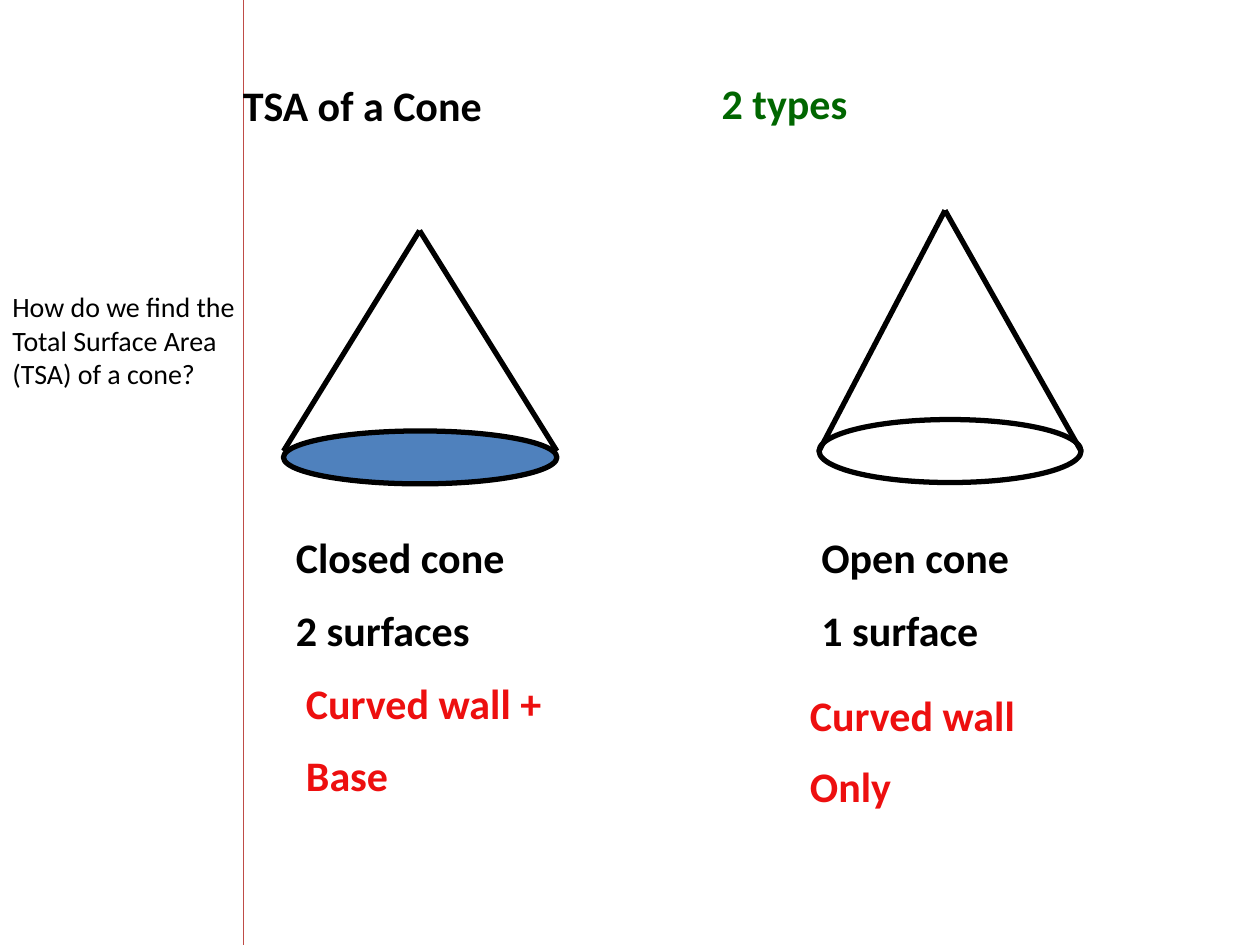
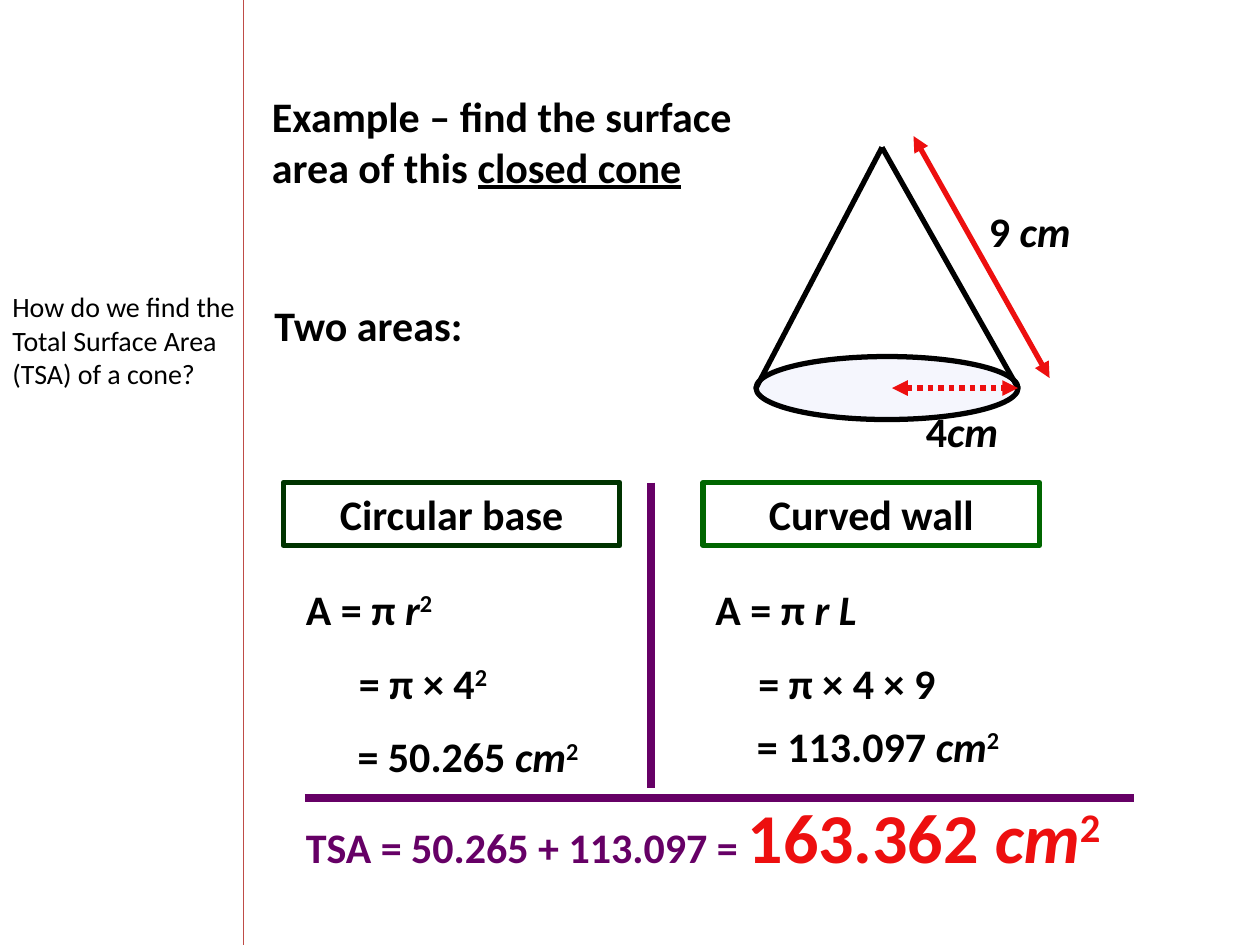
from dataclasses import dataclass
from typing import Any, NamedTuple, Optional

import pptx
import pptx.dml.color
import pptx.enum.dml
import pptx.enum.shapes
import pptx.enum.text
import pptx.util
from pptx.oxml.xmlchemy import OxmlElement
from pptx.util import Inches


@dataclass(frozen=True)
class Theme:
    font: str = "Calibri"
    ink: str = "000000"
    margin_rule: str = "BF4C48"
    red: str = "ED0F0F"
    green: str = "006600"
    dark_green: str = "003300"
    purple: str = "660066"
    blue_base: str = "4F81BD"
    pale_base: str = "F5F6FD"
    note_size: int = 16
    body_size: int = 24
    answer_size: int = 40
    paragraph_gap: int = 12
    outline: float = 3
    divider: float = 4.5
    hairline: float = 0.75


THEME = Theme()


class Box(NamedTuple):
    left: float
    top: float
    width: float
    height: float = 0.5


class Point(NamedTuple):
    x: float
    y: float


class Span(NamedTuple):
    """A stretch of text; unset size and colour follow the whole text."""
    text: str
    italic: bool = False
    underline: bool = False
    superscript: bool = False
    size: Optional[int] = None
    color: Optional[str] = None


@dataclass(frozen=True)
class Cone:
    apex: Point
    base: Box
    rim_y: float
    fill: Optional[str] = None


@dataclass(frozen=True)
class ConeType:
    cone: Cone
    caption_left: float
    captions: tuple[str, str]
    surfaces_at: Point
    surfaces: tuple[str, str]


class Step(NamedTuple):
    at: Point
    spans: list[Span]


@dataclass(frozen=True)
class AreaColumn:
    heading: str
    left: float
    border: str
    steps: list[Step]


def rgb(color: str) -> pptx.dml.color.RGBColor:
    return pptx.dml.color.RGBColor.from_string(color)


def inches(box: Box) -> list[int]:
    return [Inches(length) for length in box]


# Drawing functions
def write(frame: Any, *paragraphs: list[Span], size: int = THEME.body_size,
          color: str = THEME.ink, bold: bool = True, centered: bool = False) -> None:
    frame.word_wrap = True
    frame.auto_size = pptx.enum.text.MSO_AUTO_SIZE.SHAPE_TO_FIT_TEXT
    align = pptx.enum.text.PP_ALIGN
    for index, spans in enumerate(paragraphs):
        paragraph = frame.add_paragraph() if index else frame.paragraphs[0]
        paragraph.alignment = align.CENTER if centered else align.LEFT
        if index:
            paragraph.space_before = pptx.util.Pt(THEME.paragraph_gap)
        for span in spans:
            run = paragraph.add_run()
            run.text = span.text
            font = run.font
            font.name = THEME.font
            font.size = pptx.util.Pt(span.size or size)
            font.color.rgb = rgb(span.color or color)
            font.bold, font.italic = bold, span.italic
            font.underline = span.underline
            if span.superscript:
                run._r.get_or_add_rPr().set("baseline", "30000")


def add_text(shapes: Any, box: Box, *paragraphs: list[Span], **style: Any) -> None:
    write(shapes.add_textbox(*inches(box)).text_frame, *paragraphs, **style)


def add_line(shapes: Any, start: Point, end: Point, color: str = THEME.ink,
             width: float = THEME.outline, dotted: bool = False,
             arrows: bool = False) -> None:
    connector = shapes.add_connector(
        pptx.enum.shapes.MSO_CONNECTOR.STRAIGHT, *inches((*start, *end)))
    connector.line.color.rgb = rgb(color)
    connector.line.width = pptx.util.Pt(width)
    if dotted:
        connector.line.dash_style = pptx.enum.dml.MSO_LINE.ROUND_DOT
    if arrows:
        for tag in ("a:headEnd", "a:tailEnd"):
            arrowhead = OxmlElement(tag)
            arrowhead.set("type", "triangle")
            connector.line._get_or_add_ln().append(arrowhead)
    connector._element.spPr.append(OxmlElement("a:effectLst"))


def add_outlined(shapes: Any, kind: Any, box: Box, border: str = THEME.ink,
                 fill: Optional[str] = None) -> Any:
    shape = shapes.add_shape(kind, *inches(box))
    shape.shadow.inherit = False
    shape.line.color.rgb = rgb(border)
    shape.line.width = pptx.util.Pt(THEME.outline)
    if fill:
        shape.fill.solid()
        shape.fill.fore_color.rgb = rgb(fill)
    else:
        shape.fill.background()
    return shape


def add_cone(slide: Any, cone: Cone) -> Any:
    """Draw a cone as a group and return the group's shapes."""
    shapes = slide.shapes.add_group_shape().shapes
    add_outlined(shapes, pptx.enum.shapes.MSO_SHAPE.OVAL, cone.base, fill=cone.fill)
    for rim_x in (cone.base.left, cone.base.left + cone.base.width):
        add_line(shapes, cone.apex, Point(rim_x, cone.rim_y))
    return shapes


def add_notes_page(deck: Any) -> Any:
    """Add a slide with the margin rule and the guiding question."""
    slide = deck.slides.add_slide(deck.slide_layouts[6])
    add_line(slide.shapes, Point(1.93, 0), Point(1.93, 7.5),
             THEME.margin_rule, THEME.hairline)
    add_text(slide.shapes, Box(0, 2.25, 2.01, 0.91),
             [Span("How do we find the Total Surface Area (TSA) of a cone?")],
             size=THEME.note_size, bold=False)
    return slide


# Content
CONE_TYPES = [
    ConeType(Cone(Point(3.33, 1.83), Box(2.25, 3.42, 2.17, 0.42), 3.58, THEME.blue_base),
             2.25, ("Closed cone", "2 surfaces"),
             Point(2.33, 5.33), ("Curved wall +", "Base")),
    ConeType(Cone(Point(7.5, 1.67), Box(6.5, 3.33, 2.08), 3.58),
             6.42, ("Open cone", "1 surface"),
             Point(6.33, 5.42), ("Curved wall", "Only")),
]

SQUARED = Span("2", superscript=True)
CM = Span("cm", italic=True)

AREA_COLUMNS = [
    AreaColumn("Circular base", 2.25, THEME.dark_green, [
        Step(Point(2.33, 4.58), [Span("A = π "), Span("r", italic=True), SQUARED]),
        Step(Point(2.75, 5.17), [Span("= π × 4"), SQUARED]),
        Step(Point(2.74, 5.75), [Span("= 50.265 "), CM, SQUARED]),
    ]),
    AreaColumn("Curved wall", 5.58, THEME.green, [
        Step(Point(5.58, 4.58), [Span("A = π "), Span("r L", italic=True)]),
        Step(Point(5.92, 5.17), [Span("= π × 4 × 9")]),
        Step(Point(5.91, 5.67), [Span("= 113.097 "), CM, SQUARED]),
    ]),
]


def build_types_slide(deck: Any) -> None:
    slide = add_notes_page(deck)
    add_text(slide.shapes, Box(1.83, 0.58, 3.24), [Span("TSA of a Cone")])
    add_text(slide.shapes, Box(5.63, 0.57, 2.36), [Span("2 types")], color=THEME.green)
    for kind in CONE_TYPES:
        add_cone(slide, kind.cone)
        for row, caption in enumerate(kind.captions):
            add_text(slide.shapes, Box(kind.caption_left, 4.17 + 0.58 * row, 2.67),
                     [Span(caption)])
        add_text(slide.shapes, Box(*kind.surfaces_at, 2.25, 1.11),
                 *([Span(surface)] for surface in kind.surfaces), color=THEME.red)


def build_example_slide(deck: Any) -> None:
    slide = add_notes_page(deck)
    shapes = slide.shapes

    # Question and measured cone
    add_text(shapes, Box(2.06, 0.67, 4.25, 0.91),
             [Span("Example – find the surface area of this "),
              Span("closed cone", underline=True)])
    add_text(shapes, Box(2.08, 2.33, 3.33), [Span("Two areas:")])
    cone_parts = add_cone(slide, Cone(Point(7, 1.17), Box(6, 2.83, 2.08), 3.08,
                                      THEME.pale_base))
    add_text(cone_parts, Box(7.25, 3.17, 0.83), [Span("4"), CM])
    add_line(cone_parts, Point(7.08, 3.08), Point(8.08, 3.08), THEME.red,
             dotted=True, arrows=True)
    add_text(cone_parts, Box(7.75, 1.58, 1), [Span("9 "), CM])
    add_line(cone_parts, Point(7.25, 1.08), Point(8.33, 3), THEME.red, arrows=True)

    # Working for each area
    add_line(shapes, Point(5.17, 3.83), Point(5.17, 6.25), THEME.purple, THEME.divider)
    for column in AREA_COLUMNS:
        heading = add_outlined(shapes, pptx.enum.shapes.MSO_SHAPE.RECTANGLE,
                               Box(column.left, 3.83, 2.67), column.border)
        write(heading.text_frame, [Span(column.heading)], centered=True)
        for step in column.steps:
            add_text(shapes, Box(*step.at, 2.5), step.spans)

    # Total
    answer = {"size": THEME.answer_size, "color": THEME.red}
    add_text(shapes, Box(2.33, 6.25, 6.92, 0.77),
             [Span("TSA = 50.265 + 113.097 = "), Span("163.362 ", **answer),
              CM._replace(**answer), SQUARED._replace(**answer)],
             color=THEME.purple)
    add_line(shapes, Point(2.42, 6.33), Point(9, 6.33), THEME.purple, THEME.divider)


def main() -> None:
    deck = pptx.Presentation()
    deck.slide_width, deck.slide_height = Inches(10), Inches(7.5)
    build_types_slide(deck)
    build_example_slide(deck)
    deck.save("out.pptx")


if __name__ == "__main__":
    main()
